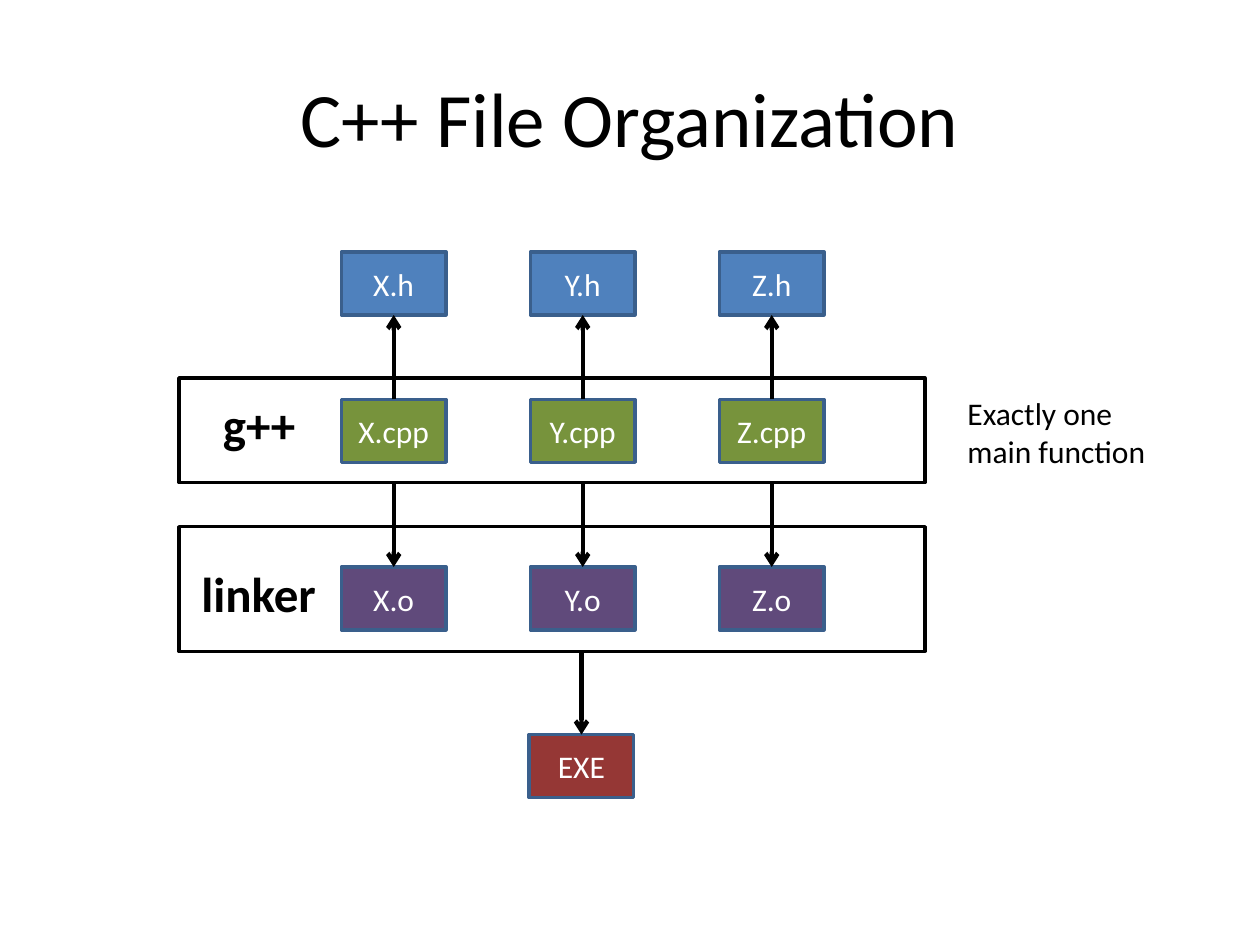
from lxml import etree
from pptx import Presentation
from pptx.dml.color import RGBColor
from pptx.enum import shapes, text
from pptx.oxml import ns
from pptx.util import Inches, Pt

BLACK = RGBColor(0x00, 0x00, 0x00)
WHITE = RGBColor(0xFF, 0xFF, 0xFF)
HEADER_BLUE = RGBColor(0x4F, 0x81, 0xBD)
SOURCE_GREEN = RGBColor(0x77, 0x93, 0x3C)
OBJECT_PURPLE = RGBColor(0x60, 0x4A, 0x7B)
PROGRAM_RED = RGBColor(0x95, 0x37, 0x35)
FILE_EDGE = RGBColor(0x3A, 0x5F, 0x8C)

FONT = "Calibri"
FILE_W, FILE_H = 0.83, 0.5
MODULES = ("X", "Y", "Z")
FIRST_LEFT, MODULE_STEP = 2.71, 1.5
HEADER_TOP, SOURCE_TOP, OBJECT_TOP, PROGRAM_TOP = 2, 3.17, 4.5, 5.83
COMPILER_BOX = (1.42, 3, 5.92, 0.83)
LINKER_BOX = (1.42, 4.18, 5.92, 0.99)


def write(frame, *lines, size=18, color=BLACK, bold=False,
          align=text.PP_ALIGN.LEFT, anchor=text.MSO_ANCHOR.TOP, wrap=True):
    frame.word_wrap = wrap
    frame.vertical_anchor = anchor
    for i, line in enumerate(lines):
        paragraph = frame.paragraphs[0] if i == 0 else frame.add_paragraph()
        paragraph.alignment = align
        run = paragraph.add_run()
        run.text = line
        run.font.name, run.font.size = FONT, Pt(size)
        run.font.bold, run.font.color.rgb = bold, color


def add_box(slide, box, edge, fill=None):
    rect = slide.shapes.add_shape(shapes.MSO_SHAPE.RECTANGLE, *map(Inches, box))
    rect.shadow.inherit = False
    if fill is None:
        rect.fill.background()
    else:
        rect.fill.solid()
        rect.fill.fore_color.rgb = fill
    rect.line.color.rgb, rect.line.width = edge, Pt(2)
    return rect


def add_file(slide, name, left, top, fill):
    file = add_box(slide, (left, top, FILE_W, FILE_H), FILE_EDGE, fill)
    write(file.text_frame, name, color=WHITE, align=text.PP_ALIGN.CENTER,
          anchor=text.MSO_ANCHOR.MIDDLE)


def add_arrow(slide, x, start, end):
    arrow = slide.shapes.add_connector(
        shapes.MSO_CONNECTOR.STRAIGHT, *map(Inches, (x, start, x, end)))
    arrow.line.color.rgb, arrow.line.width = BLACK, Pt(2.5)
    etree.SubElement(arrow.line._get_or_add_ln(), ns.qn("a:tailEnd"), type="arrow")
    etree.SubElement(arrow._element.spPr, ns.qn("a:effectLst"))


def add_label(slide, box, *lines, **style):
    label = slide.shapes.add_textbox(*map(Inches, box))
    write(label.text_frame, *lines, wrap=False, **style)
    label.text_frame.auto_size = text.MSO_AUTO_SIZE.SHAPE_TO_FIT_TEXT


def add_title(slide, box):
    title = slide.shapes.title
    title.left, title.top, title.width, title.height = map(Inches, box)
    write(title.text_frame, "C++ File Organization", size=44,
          align=text.PP_ALIGN.CENTER, anchor=text.MSO_ANCHOR.MIDDLE)


def add_module(slide, module, left):
    """One column: the source includes its header and compiles to an object."""
    middle = left + FILE_W / 2
    compiler_bottom = COMPILER_BOX[1] + COMPILER_BOX[3]
    add_file(slide, f"{module}.h", left, HEADER_TOP, HEADER_BLUE)
    add_file(slide, f"{module}.cpp", left, SOURCE_TOP, SOURCE_GREEN)
    add_arrow(slide, middle, SOURCE_TOP, HEADER_TOP + FILE_H)
    add_file(slide, f"{module}.o", left, OBJECT_TOP, OBJECT_PURPLE)
    add_arrow(slide, middle, compiler_bottom, OBJECT_TOP)


def add_stage(slide, box, name, name_box):
    add_label(slide, name_box, name, size=28, bold=True)
    add_box(slide, box, BLACK)


def add_program(slide, left):
    add_file(slide, "EXE", left, PROGRAM_TOP, PROGRAM_RED)
    add_arrow(slide, left + FILE_W / 2, LINKER_BOX[1] + LINKER_BOX[3], PROGRAM_TOP)


def main():
    prs = Presentation()
    prs.slide_width, prs.slide_height = Inches(10), Inches(7.5)
    slide = prs.slides.add_slide(prs.slide_layouts[5])
    add_title(slide, (0.5, 0.3, 9, 1.25))

    # Files of each module
    for i, module in enumerate(MODULES):
        add_module(slide, module, FIRST_LEFT + i * MODULE_STEP)

    # Build stages and their result
    add_stage(slide, COMPILER_BOX, "g++", (1.67, 3.08, 0.79, 0.57))
    add_stage(slide, LINKER_BOX, "linker", (1.5, 4.42, 1.12, 0.57))
    add_program(slide, 4.2)

    # Side note
    add_label(slide, (7.58, 3.08, 1.63, 0.71), "Exactly one", "main function")
    prs.save("out.pptx")


if __name__ == "__main__":
    main()
